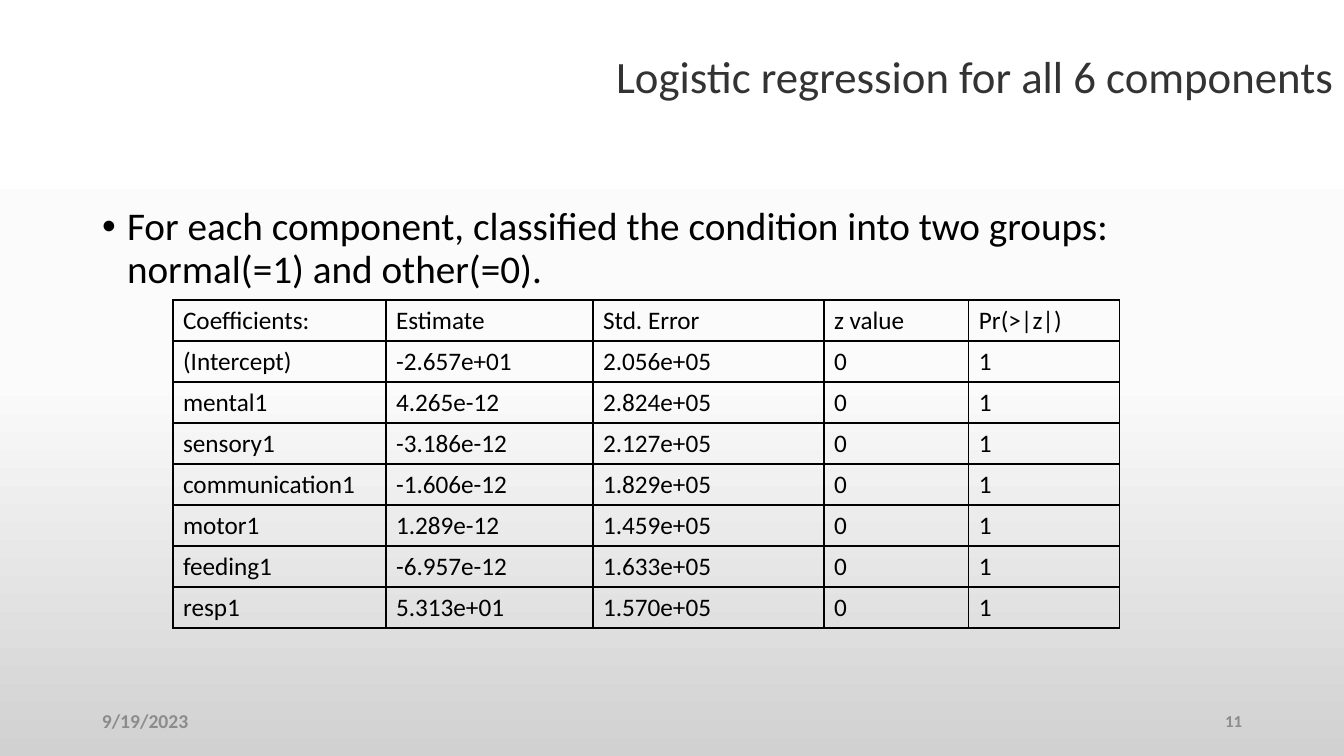
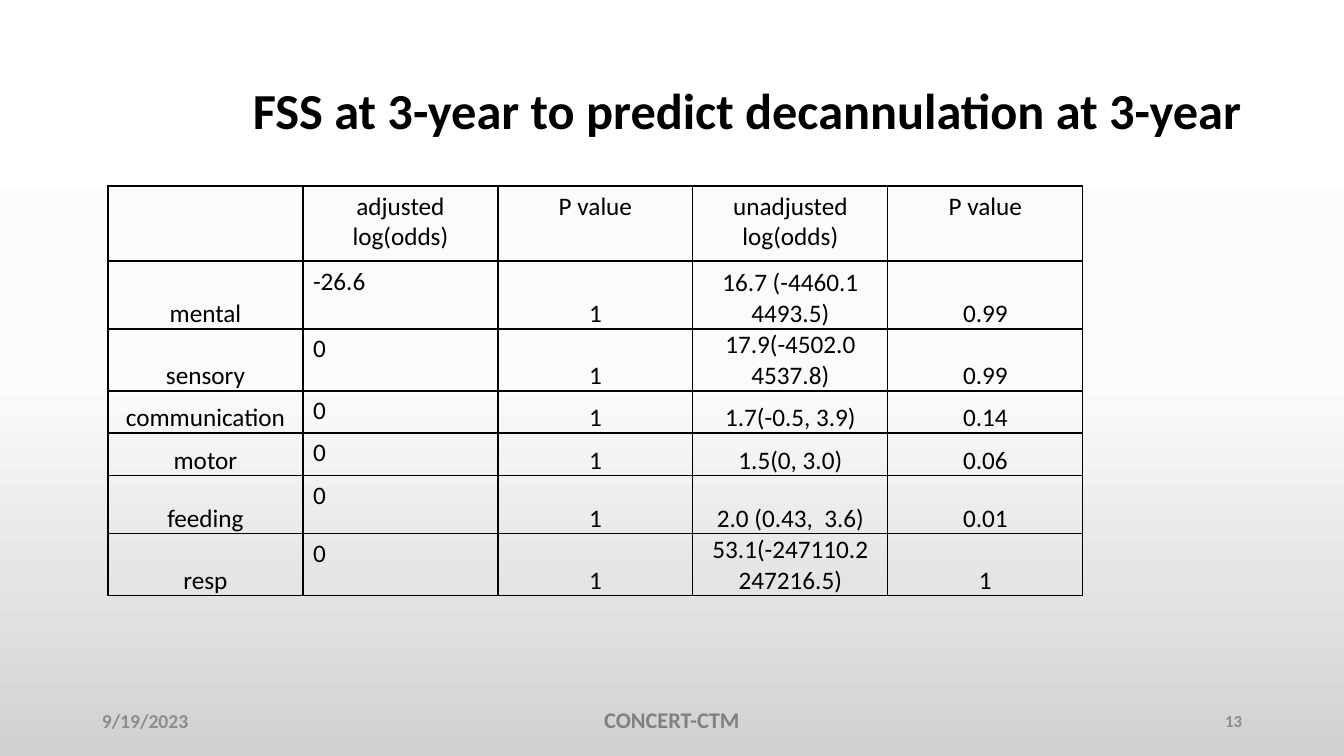
import copy

import pptx
import pptx.dml.color
import pptx.enum.text
import pptx.oxml
import pptx.oxml.ns
import pptx.util

PX = 914400 / 100.8
FONT = "Calibri"
BLACK, CHARCOAL, FOOTER_GREY, STUDY_GREY = "000000", "333333", "8C8C8C", "808080"
BACKDROP = [(0, "FFFFFF"), (0.5, "FBFBFB"), (1, "D1D1D1")]
LEFT = pptx.enum.text.PP_ALIGN.LEFT
CENTER = pptx.enum.text.PP_ALIGN.CENTER
RIGHT = pptx.enum.text.PP_ALIGN.RIGHT
TOP = pptx.enum.text.MSO_ANCHOR.TOP
MIDDLE = pptx.enum.text.MSO_ANCHOR.MIDDLE
BOTTOM = pptx.enum.text.MSO_ANCHOR.BOTTOM
rgb = pptx.dml.color.RGBColor.from_string


def px(*lengths):
    return [pptx.util.Emu(round(length * PX)) for length in lengths]


def write(frame, text, size, color, bold=False, align=LEFT, anchor=TOP):
    frame.word_wrap = True
    frame.vertical_anchor = anchor
    paragraph = frame.paragraphs[0]
    if text:
        paragraph.text = text
    paragraph.alignment = align
    paragraph.font.name = FONT
    paragraph.font.size = pptx.util.Pt(size)
    paragraph.font.bold = bold
    paragraph.font.color.rgb = rgb(color)
    return paragraph


coefficients = [
    ["Coefficients:", "Estimate", "Std. Error", "z value", "Pr(>|z|)"],
    ["(Intercept)", "-2.657e+01", "2.056e+05", "0", "1"],
    ["mental1", "4.265e-12", "2.824e+05", "0", "1"],
    ["sensory1", "-3.186e-12", "2.127e+05", "0", "1"],
    ["communication1", "-1.606e-12", "1.829e+05", "0", "1"],
    ["motor1", "1.289e-12", "1.459e+05", "0", "1"],
    ["feeding1", "-6.957e-12", "1.633e+05", "0", "1"],
    ["resp1", "5.313e+01", "1.570e+05", "0", "1"],
]
log_odds = [
    ["", "adjusted log(odds)", "P value", "unadjusted log(odds)", "P value"],
    ["mental", "-26.6", "1", "16.7 (-4460.1 4493.5)", "0.99"],
    ["sensory", "0", "1", "17.9(-4502.0 4537.8)", "0.99"],
    ["communication", "0", "1", "1.7(-0.5, 3.9)", "0.14"],
    ["motor", "0", "1", "1.5(0, 3.0)", "0.06"],
    ["feeding", "0", "1", "2.0 (0.43,  3.6)", "0.01"],
    ["resp", "0", "1", "53.1(-247110.2 247216.5)", "1"],
]
pages = [
    dict(
        title="Logistic regression for all 6 components",
        title_at=(184, 6, 1160, 146), title_font=(32, CHARCOAL, False),
        body="For each component, classified the condition into two groups: "
             "normal(=1) and other(=0).",
        number="11", study=None, rows=coefficients, corner=(173, 300),
        widths=[213, 207, 231, 145, 151], heights=[41] * 8, centred=False,
    ),
    dict(
        title="FSS at 3-year to predict decannulation at 3-year",
        title_at=(92, 40, 1160, 146), title_font=(36, BLACK, True),
        body=None,
        number="13", study="CONCERT-CTM", rows=log_odds, corner=(108, 186),
        widths=[195] * 5, heights=[75, 68, 62, 42, 43, 58, 62], centred=True,
    ),
]

deck = pptx.Presentation()
deck.slide_width, deck.slide_height = px(1344, 756)

backdrop = deck.slide_master.background.fill
backdrop.gradient()
backdrop.gradient_angle = 270
stop_list = deck.slide_master.element.find(".//" + pptx.oxml.ns.qn("a:gsLst"))
stop_list.append(copy.deepcopy(stop_list[0]))
for stop, (position, color) in zip(backdrop.gradient_stops, BACKDROP):
    stop.position = position
    stop.color.rgb = rgb(color)

for page in pages:
    slide = deck.slides.add_slide(deck.slide_layouts[1 if page["body"] else 5])

    title = slide.shapes.title
    title.left, title.top, title.width, title.height = px(*page["title_at"])
    title.text_frame.auto_size = pptx.enum.text.MSO_AUTO_SIZE.NONE
    heading = write(title.text_frame, page["title"], *page["title_font"], RIGHT, MIDDLE)
    heading.line_spacing = 0.9

    if page["body"]:
        body = slide.placeholders[1]
        body.left, body.top, body.width, body.height = px(92, 202, 1160, 480)
        body.text_frame.auto_size = pptx.enum.text.MSO_AUTO_SIZE.NONE
        bullet = write(body.text_frame, page["body"], 28, BLACK)
        bullet.line_spacing = 0.9
        bullet.space_before = pptx.util.Pt(10)
        indent = px(25)[0]
        bullet_format = bullet._p.get_or_add_pPr()
        bullet_format.set("marL", str(indent))
        bullet_format.set("indent", str(-indent))

    footers = [
        (92, 302, "9/19/2023", 14, FOOTER_GREY, LEFT, MIDDLE),
        (950, 302, page["number"], 12, FOOTER_GREY, RIGHT, MIDDLE),
        (445, 454, page["study"], 16, STUDY_GREY, CENTER, TOP),
    ]
    for left, width, text, size, color, align, anchor in footers:
        if text:
            footer = slide.shapes.add_textbox(*px(left, 701, width, 40))
            write(footer.text_frame, text, size, color, True, align, anchor)

    rows, widths, heights = page["rows"], page["widths"], page["heights"]
    table = slide.shapes.add_table(
        len(rows), len(widths), *px(*page["corner"], sum(widths), sum(heights))
    ).table
    table.first_row = table.horz_banding = False
    for column, width in zip(table.columns, px(*widths)):
        column.width = width
    for row, height in zip(table.rows, px(*heights)):
        row.height = height
    for r, values in enumerate(rows):
        for c, value in enumerate(values):
            cell = table.cell(r, c)
            centred = page["centred"] and (r == 0 or c != 1)
            write(cell.text_frame, value, 18, BLACK, align=CENTER if centred else LEFT)
            if centred and r > 0:
                cell.vertical_anchor = BOTTOM
                cell.margin_left, cell.margin_right, cell.margin_top, cell.margin_bottom = px(1, 1, 1, 0)
            cell_format = cell._tc.get_or_add_tcPr()
            for side in ("lnL", "lnR", "lnT", "lnB"):
                cell_format.append(pptx.oxml.parse_xml(
                    f'<a:{side} {pptx.oxml.ns.nsdecls("a")} w="{pptx.util.Pt(1)}">'
                    f'<a:solidFill><a:srgbClr val="{BLACK}"/></a:solidFill></a:{side}>'
                ))
            cell.fill.background()

deck.save("out.pptx")
